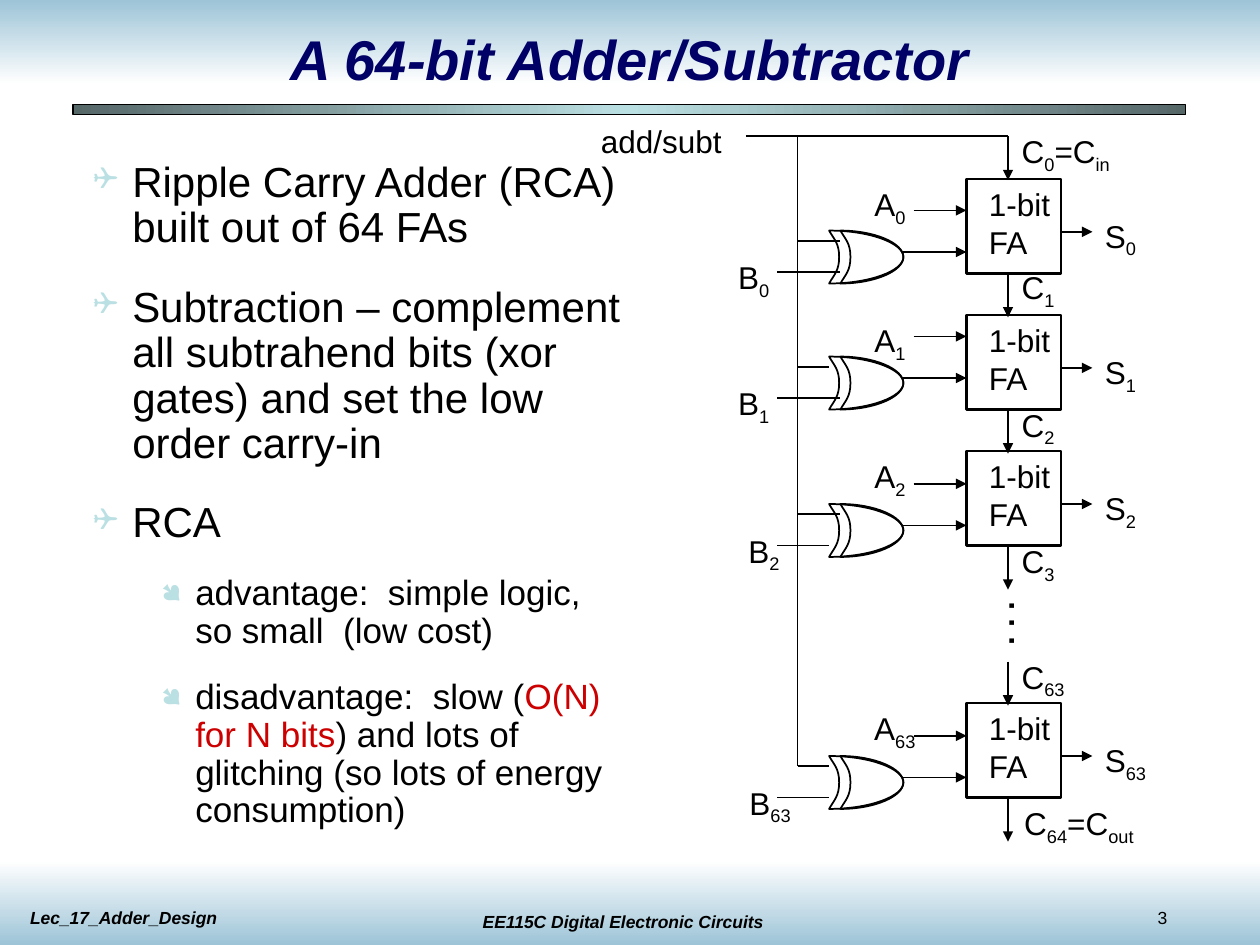
from copy import deepcopy

from lxml import etree
from pptx import Presentation
from pptx.dml.color import RGBColor
from pptx.enum.shapes import MSO_CONNECTOR, MSO_SHAPE
from pptx.enum.text import MSO_ANCHOR, MSO_AUTO_SIZE, PP_ALIGN
from pptx.oxml.ns import qn
from pptx.util import Inches, Pt

RECTANGLE = MSO_SHAPE.RECTANGLE
STRAIGHT = MSO_CONNECTOR.STRAIGHT
LEFT, CENTER = PP_ALIGN.LEFT, PP_ALIGN.CENTER
TOP, MIDDLE = MSO_ANCHOR.TOP, MSO_ANCHOR.MIDDLE
FIT_SHAPE, NO_FIT = MSO_AUTO_SIZE.SHAPE_TO_FIT_TEXT, MSO_AUTO_SIZE.NONE

BLACK, NAVY, RED = "000000", "000066", "CC0000"
SKY, WHITE, AQUA, SLATE = "9DC4D7", "FFFFFF", "BBE0E3", "566768"


def color(hex_string):
    return RGBColor.from_string(hex_string)


def set_values(target, values):
    for name, value in values.items():
        setattr(target, name, value)


def add_xml(parent, tag, **attributes):
    return etree.SubElement(parent, qn(tag), attributes)


def curve_segments(shape):
    """Turn every three line segments of a freeform into one cubic curve."""
    lines = list(shape._element.spPr.iter(qn("a:lnTo")))
    for index in range(0, len(lines), 3):
        curve = etree.Element(qn("a:cubicBezTo"))
        lines[index].addprevious(curve)
        for line in lines[index:index + 3]:
            curve.append(line[0])
            line.getparent().remove(line)


class SlideBuilder:
    font = "Arial"
    bullet_font = "Wingdings"
    label_size = 18
    wire_width = 1

    def __init__(self, slide):
        self.slide = slide
        self.shapes = slide.shapes

    def style_run(self, run, size, hex_color=BLACK, bold=False, italic=False):
        set_values(run.font, {"name": self.font, "size": Pt(size),
                              "bold": bold, "italic": italic})
        run.font.color.rgb = color(hex_color)

    def gradient_band(self, left, top, width, height, stops, angle, outline=None):
        shape = self.shapes.add_shape(
            RECTANGLE, Inches(left), Inches(top), Inches(width), Inches(height))
        shape.shadow.inherit = False
        shape.fill.gradient()
        shape.fill.gradient_angle = angle
        stop_list = shape._element.spPr.find(qn("a:gradFill")).find(qn("a:gsLst"))
        while len(stop_list) < len(stops):
            stop_list.append(deepcopy(stop_list[0]))
        for index, stop in enumerate(shape.fill.gradient_stops):
            stop.position = index / (len(stops) - 1)
            stop.color.rgb = color(stops[index])
        if outline:
            shape.line.color.rgb = color(outline)
            shape.line.width = Pt(0.75)
        else:
            shape.line.fill.background()

    def frame(self, left, top, width, height, wrap=True, fit=FIT_SHAPE,
              anchor=TOP, insets=(0.1, 0.05)):
        box = self.shapes.add_textbox(
            Inches(left), Inches(top), Inches(width), Inches(height))
        side, end = map(Inches, insets)
        set_values(box.text_frame, {
            "word_wrap": wrap, "auto_size": fit, "vertical_anchor": anchor,
            "margin_left": side, "margin_right": side,
            "margin_top": end, "margin_bottom": end})
        return box

    def text(self, words, left, top, width, height, size, align=LEFT,
             hex_color=BLACK, bold=False, italic=False, **frame_options):
        box = self.frame(left, top, width, height, **frame_options)
        paragraph = box.text_frame.paragraphs[0]
        paragraph.alignment = align
        run = paragraph.add_run()
        run.text = words
        self.style_run(run, size, hex_color, bold, italic)
        return box

    def signal(self, name, left, top, width=0.45):
        """A label whose parts between underscores are, in turn, normal and subscript."""
        box = self.frame(left, top, width, 0.44, wrap=False)
        paragraph = box.text_frame.paragraphs[0]
        for index, part in enumerate(name.split("_")):
            run = paragraph.add_run()
            run.text = part
            self.style_run(run, self.label_size)
            if index % 2:
                run.font._element.set("baseline", "-25000")

    def wire(self, x1, y1, x2, y2, arrow=False):
        wire = self.shapes.add_connector(
            STRAIGHT, Inches(x1), Inches(y1), Inches(x2), Inches(y2))
        wire.line.color.rgb = color(BLACK)
        wire.line.width = Pt(self.wire_width)
        if arrow:
            add_xml(wire.line._get_or_add_ln(), "a:tailEnd", type="triangle")
        add_xml(wire._element.spPr, "a:effectLst")

    def adder(self, left, top, side=0.75):
        box = self.shapes.add_shape(
            RECTANGLE, Inches(left), Inches(top), Inches(side), Inches(side))
        box.shadow.inherit = False
        box.fill.background()
        box.line.color.rgb = color(BLACK)
        box.line.width = Pt(1.5)
        self.text("1-bit FA", left + 0.08, top, 0.93, 0.7, self.label_size)

    def xor_gate(self, left, top, width=0.59, height=0.42):
        middle = height / 2
        for back in (0.09, 0):
            dent, bend = back + 0.08, back + 0.55 * (width - back)
            corners = (
                (back, 0), (back + 0.04, 0.07), (dent, 0.1), (dent, middle),
                (dent, height - 0.1), (back + 0.04, height - 0.07), (back, height),
                (bend, height), (width, height - 0.1), (width, middle),
                (width, 0.1), (bend, 0), (back, 0))
            points = [(Inches(left + x), Inches(top + y)) for x, y in corners]
            builder = self.shapes.build_freeform(*points[0])
            builder.add_line_segments(points[1:], close=True)
            outline = builder.convert_to_shape()
            curve_segments(outline)
            outline.shadow.inherit = False
            outline.fill.background()
            outline.line.color.rgb = color(BLACK)
            outline.line.width = Pt(self.wire_width)

    def bullets(self, items, left, top, width, height):
        levels = (
            {"mark": "❑", "margin": 0.31, "hang": 0.31, "size": 24, "before": 19.5},
            {"mark": "●", "margin": 0.81, "hang": 0.27, "size": 20, "before": 16.2})
        text_frame = self.frame(left, top, width, height, insets=(0.07, 0.03)).text_frame
        for index, (level, parts) in enumerate(items):
            style = levels[level]
            paragraph = text_frame.add_paragraph() if index else text_frame.paragraphs[0]
            properties = paragraph._p.get_or_add_pPr()
            properties.set("marL", str(Inches(style["margin"])))
            properties.set("indent", str(-Inches(style["hang"])))
            add_xml(add_xml(properties, "a:buClr"), "a:srgbClr", val=AQUA)
            add_xml(properties, "a:buSzPct", val="75000")
            add_xml(properties, "a:buFont", typeface=self.bullet_font, charset="2")
            add_xml(properties, "a:buChar", char=style["mark"])
            set_values(paragraph, {
                "level": level, "line_spacing": 0.9,
                "space_before": Pt(style["before"] if index else 0)})
            for words, hex_color in parts:
                run = paragraph.add_run()
                run.text = words
                self.style_run(run, style["size"], hex_color)


def main():
    presentation = Presentation()
    presentation.slide_width, presentation.slide_height = Inches(10), Inches(7.5)
    builder = SlideBuilder(presentation.slides.add_slide(presentation.slide_layouts[6]))

    # Background bands, footer and title
    builder.gradient_band(0, 0, 10, 0.67, (SKY, WHITE), 270)
    builder.gradient_band(0, 6.83, 10, 0.67, (WHITE, SKY), 270)
    builder.text("EE115C Digital Electronic Circuits", 3.53, 7.18, 2.83, 0.27, 10,
                 align=CENTER, bold=True, italic=True)
    builder.text("3", 9.09, 7.15, 0.83, 0.27, 10)
    builder.text("Lec_17_Adder_Design", 0.14, 7.15, 2.83, 0.27, 10, bold=True, italic=True)
    builder.gradient_band(0.58, 0.83, 8.83, 0.08, (SLATE, AQUA, SLATE), 0, BLACK)
    builder.text("A 64-bit Adder/Subtractor", 0.75, 0.17, 8.5, 0.58, 32, align=CENTER,
                 hex_color=NAVY, bold=True, italic=True, fit=NO_FIT, anchor=MIDDLE)

    # Bullet list
    builder.bullets((
        (0, [("Ripple Carry Adder (RCA) built out of 64 FAs", BLACK)]),
        (0, [("Subtraction – complement all subtrahend bits (xor gates) "
              "and set the low order carry-in", BLACK)]),
        (0, [("RCA", BLACK)]),
        (1, [("advantage:  simple logic, so small  (low cost)", BLACK)]),
        (1, [("disadvantage:  slow (", BLACK), ("O(N) for N bits", RED),
             (") and lots of glitching (so lots of energy consumption)", BLACK)]),
    ), 0.67, 1.25, 4.33, 5.37)

    # Bit slices: bit, adder top, gate top, B label left, select wire end, B wire end
    adder_left, adder_right, carry_x, bus_x, gate_left = 7.67, 8.42, 8, 6.33, 6.58
    slices = (
        (0, 1.42, 1.83, 5.76, 6.67, 6.67),
        (1, 2.5, 2.83, 5.76, 6.58, 6.67),
        (2, 3.58, 4, 5.84, 6.67, 6.58),
        (63, 5.58, 6, 5.85, 6.58, 6.58))
    for bit, adder_top, gate_top, b_left, select_end, b_end in slices:
        width = 0.53 if bit > 9 else 0.45
        builder.adder(adder_left, adder_top)
        builder.xor_gate(gate_left, gate_top)
        builder.signal(f"A_{bit}", 6.84, adder_top, width)
        builder.signal(f"B_{bit}", b_left, gate_top + 0.17, width)
        builder.signal(f"S_{bit}", 8.67, adder_top + 0.25, width)
        for start, y, end, arrow in (
                (7.25, gate_top - 0.16, adder_left, True),
                (7.17, gate_top + 0.17, adder_left, True),
                (adder_right, adder_top + 0.42, 8.67, True),
                (bus_x, gate_top + 0.08, select_end, False),
                (6.17, gate_top + 0.33, b_end, False)):
            builder.wire(start, y, end, y, arrow)

    # Carry chain
    for y in (1.08, 2.17, 3.25, 4.33, 5.25, 6.33):
        builder.wire(carry_x, y, carry_x, y + 0.35, arrow=True)
    for name, left, top, width in (
            ("C_0_=C_in", 8.01, 1, 0.9), ("C_1", 8.01, 2.08, 0.46),
            ("C_2", 8.01, 3.17, 0.46), ("C_3", 8.01, 4.25, 0.46),
            ("C_63", 8.01, 5.17, 0.54), ("C_64_=C_out", 8.03, 6.33, 1.07)):
        builder.signal(name, left, top, width)
    dots = builder.text(". . .", 7.67, 4.74, 0.56, 0.4, 18, bold=True, wrap=False)
    dots.rotation = 270

    # Add/subtract select line
    builder.wire(bus_x, 6.08, bus_x, 1.08)
    builder.wire(5.92, 1.08, carry_x, 1.08)
    builder.text("add/subt", 4.67, 0.92, 1.16, 0.4, 18, wrap=False)

    presentation.save("out.pptx")


if __name__ == "__main__":
    main()
